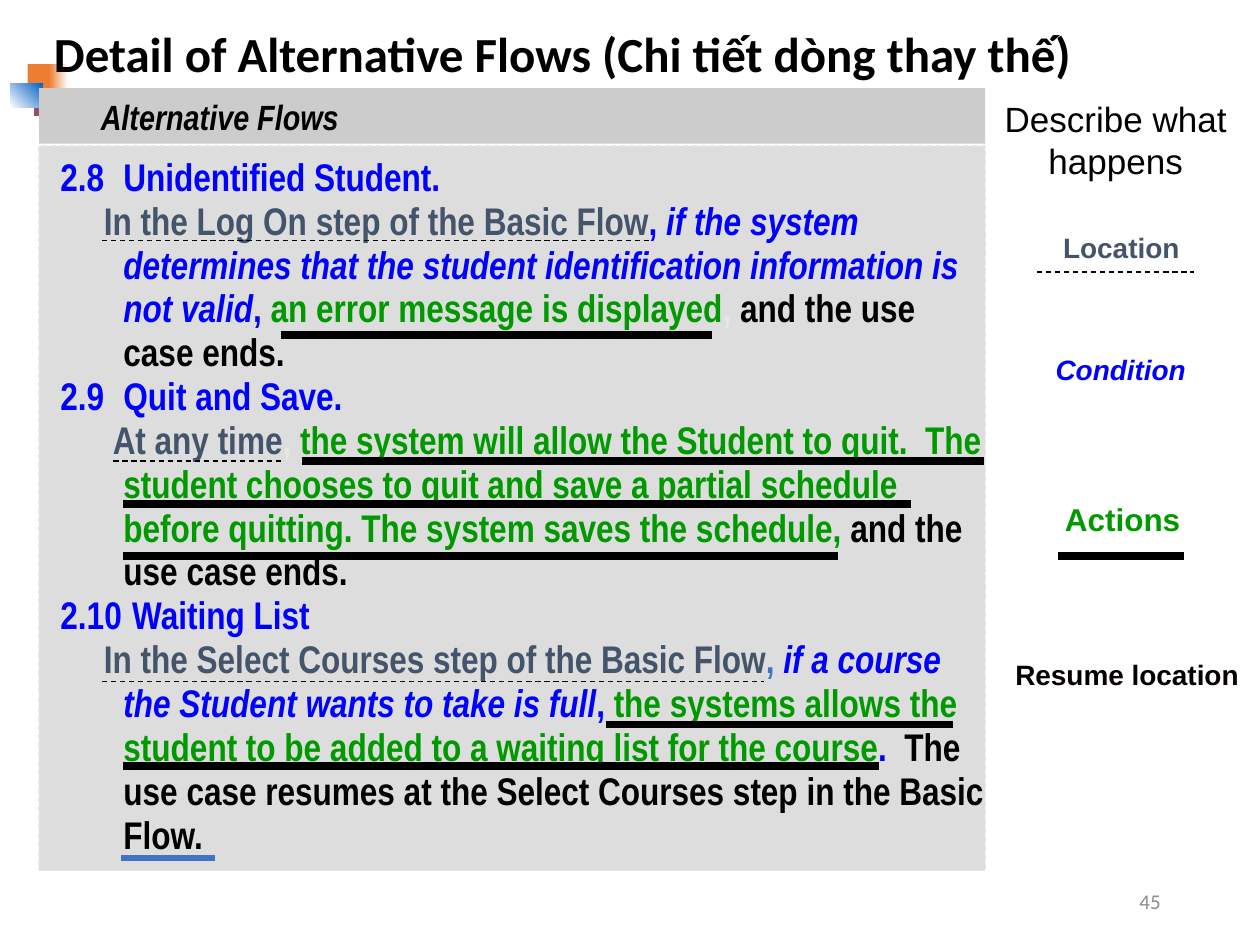
from dataclasses import dataclass

from lxml import etree
from pptx import Presentation
from pptx import util as u
from pptx.dml.color import RGBColor
from pptx.enum import dml, shapes, text
from pptx.oxml.ns import qn

CELL = 0.1  # inches: the slide is a grid of 100 columns by 75 rows
COLS, ROWS = 100, 75


@dataclass(frozen=True)
class Theme:
    sans: str = "Arial"
    narrow: str = "Arial Narrow"
    heading: str = "Calibri"
    black: str = "000000"
    pale: str = "E7E6E6"
    header: str = "CCCCCC"
    panel: str = "DDDDDD"
    location: str = "44546A"
    condition: str = "0000FF"
    action: str = "009900"
    resume: str = "040000"
    accent: str = "4472C4"
    number: str = "8C8C8C"
    orange: str = "ED7D31"
    plum: str = "954F72"
    blue: str = "0563C1"
    white: str = "FFFFFF"
    title_size: float = 28
    flow_size: float = 22
    head_size: float = 20
    action_size: float = 18
    label_size: float = 16
    number_size: float = 12
    thin: float = 0.75
    accent_line: float = 3
    thick: float = 4.5


T = Theme()


@dataclass(frozen=True)
class Box:
    """An area in grid columns and rows."""
    x: float
    y: float
    w: float
    h: float

    def inner(self, x, y, w, h):
        return Box(self.x + x, self.y + y, w, h)

    def lengths(self):
        return [cells(v) for v in (self.x, self.y, self.w, self.h)]


def cells(n):
    return u.Inches(n * CELL)


def rgb(value):
    return RGBColor.from_string(value)


def add_rect(parent, box, fill, fade_to=None, angle=0):
    rect = parent.add_shape(shapes.MSO_SHAPE.RECTANGLE, *box.lengths())
    rect.shadow.inherit = False
    rect.line.fill.background()
    if fade_to:
        rect.fill.gradient()
        rect.fill.gradient_angle = angle
        for stop, color in zip(rect.fill.gradient_stops, (fill, fade_to)):
            stop.color.rgb = rgb(color)
    else:
        rect.fill.solid()
        rect.fill.fore_color.rgb = rgb(fill)
    return rect


def style(run, font, size, color, bold=False, italic=False):
    run.font.name, run.font.size = font, u.Pt(size)
    run.font.bold, run.font.italic = bold, italic
    run.font.color.rgb = rgb(color)


def set_frame(frame, side, top, bottom, wrap=True):
    frame.word_wrap = wrap
    frame.margin_left = frame.margin_right = cells(side)
    frame.margin_top, frame.margin_bottom = cells(top), cells(bottom)
    frame.vertical_anchor = text.MSO_ANCHOR.TOP


def add_label(slide, box, words, font, size, color, bold=False, italic=False,
              align=text.PP_ALIGN.CENTER, insets=(1.2, 0.6, 0.6), wrap=True):
    frame = slide.shapes.add_textbox(*box.lengths()).text_frame
    set_frame(frame, *insets, wrap=wrap)
    frame.text = words
    for paragraph in frame.paragraphs:
        paragraph.alignment = align
        style(paragraph.runs[0], font, size, color, bold, italic)
    return frame


def add_mark(slide, box, x, y, length, color=T.black, width=T.thick):
    """A horizontal underline; thin ones are dashed."""
    left, top = cells(box.x + x), cells(box.y + y)
    mark = slide.shapes.add_connector(
        shapes.MSO_CONNECTOR.STRAIGHT, left, top, left + cells(length), top)
    mark.line.color.rgb = rgb(color)
    mark.line.width = u.Pt(width)
    if width == T.thin:
        mark.line.dash_style = dml.MSO_LINE.DASH
    etree.SubElement(mark._element.spPr, qn("a:effectLst"))


def fill_paragraph(paragraph, margin, indent, parts, size):
    props = paragraph._p.get_or_add_pPr()
    props.set("marL", str(cells(margin)))
    props.set("indent", str(cells(indent)))
    paragraph.alignment = text.PP_ALIGN.LEFT
    paragraph.line_spacing = 0.95
    for words, color, italic in parts:
        run = paragraph.add_run()
        run.text = words
        style(run, T.narrow, size, color, True, italic)


# Each flow: heading, first-line indent of its description, description parts
FLOWS = [
    ("2.8\tUnidentified Student.", -1.55, [
        ("In the Log On step of the Basic Flow", T.location, False),
        (", ", T.condition, False),
        ("if the system determines that the student identification "
         "information is not valid", T.condition, True),
        (", ", T.condition, False),
        ("an error message is displayed", T.action, False),
        (", ", T.pale, False),
        ("and the use case ends.", T.black, False)]),
    ("2.9\tQuit and Save.", -0.85, [
        ("At any time", T.location, False),
        (", ", T.pale, False),
        ("the system will allow the Student to quit.  The student chooses to "
         "quit and save a partial schedule before quitting. The system saves "
         "the schedule, ", T.action, False),
        ("and the use case ends.", T.black, False)]),
    ("2.10\t Waiting List", -1.55, [
        ("In the Select Courses step of the Basic Flow", T.location, False),
        (", ", T.accent, False),
        ("if a course the Student wants to take is full", T.condition, True),
        (", ", T.condition, False),
        ("the systems allows the student to be added to a waiting list for "
         "the course", T.action, False),
        (".  ", T.condition, False),
        ("The use case resumes at the Select Courses step in the Basic Flow.",
         T.black, False)]),
]
# Underlines in the flows panel: column, row, length
LOCATION_MARKS = [(5, 7.5, 43.4), (5.9, 25, 13.3), (5, 42.5, 52.5)]
ACTION_MARKS = [(19.2, 15, 34.2), (20.9, 25, 54.1), (6.7, 28.4, 62.5),
                (6.7, 32.5, 56.7), (45, 45.9, 27.5), (6.7, 49.2, 60)]


def add_ornament(slide, box):
    group = slide.shapes.add_group_shape().shapes
    add_rect(group, box.inner(1.4, 0, 2, 2.2), T.orange)
    add_rect(group, box.inner(3.1, 0, 1.5, 2.2), T.orange, T.white)
    add_rect(group, box.inner(1.9, 1.9, 1.9, 2.2), T.plum)
    add_rect(group, box.inner(3.6, 1.9, 1.7, 2.2), T.plum, T.white)
    add_rect(group, box.inner(0, 1.5, 2.6, 1.9), T.white, T.blue, 45)


def add_flows(slide, box):
    # Panel with the three flows
    panel_box = box.inner(0, 4.6, box.w, box.h - 4.6)
    panel = add_rect(slide.shapes, panel_box, T.panel)
    panel.line.color.rgb = rgb(T.pale)
    panel.line.width = u.Pt(T.thin)
    panel.line.dash_style = dml.MSO_LINE.DASH
    frame = panel.text_frame
    set_frame(frame, 0, 0.8, 0.4)
    paragraph = frame.paragraphs[0]
    for number, (heading, indent, description) in enumerate(FLOWS):
        if number:
            paragraph = frame.add_paragraph()
        fill_paragraph(paragraph, 6.7, -5, [(heading, T.condition, False)],
                       T.flow_size)
        fill_paragraph(frame.add_paragraph(), 6.7, indent, description,
                       T.flow_size)
    # Header band
    band = add_rect(slide.shapes, box.inner(0, 0, box.w, 4.4), T.header)
    set_frame(band.text_frame, 0, 0.8, 0.4)
    fill_paragraph(band.text_frame.paragraphs[0], 4.9, 0,
                   [("Alternative Flows", T.black, True)], T.head_size)
    # Underlines
    add_mark(slide, panel_box, 6.5, 56.5, 7.5, T.accent, T.accent_line)
    for place in LOCATION_MARKS:
        add_mark(slide, panel_box, *place, width=T.thin)
    for place in ACTION_MARKS:
        add_mark(slide, panel_box, *place)


def add_legend(slide, box):
    add_label(slide, box.inner(0, 0, 20.7, 7.8), "Describe what \nhappens",
              T.sans, T.head_size, T.black, wrap=False)
    for words, place, size, color, italic in [
            ("Location", (2.1, 10.6, 17.4, 3.9), T.label_size, T.location, False),
            ("Condition", (2, 20.3, 17.5, 3.9), T.label_size, T.condition, True),
            ("Actions", (5.1, 32, 11.6, 4.2), T.action_size, T.action, False),
            ("Resume location", (0.9, 44.5, 20.7, 3.9), T.label_size, T.resume, False)]:
        add_label(slide, box.inner(*place), words, T.sans, size, color, True, italic)
    add_mark(slide, box, 4.1, 14.5, 12.5, width=T.thin)
    add_mark(slide, box, 5.8, 37, 10)


def add_title(slide, box):
    add_label(slide, box, "Detail of Alternative Flows (Chi tiết dòng thay thế)",
              T.heading, T.title_size, T.black, True,
              align=text.PP_ALIGN.LEFT, insets=(1, 0.5, 0.5))


def add_page_number(slide, box):
    frame = add_label(slide, box, "45", T.heading, T.number_size, T.number,
                      align=text.PP_ALIGN.RIGHT, insets=(1, 0.5, 0.5))
    frame.vertical_anchor = text.MSO_ANCHOR.MIDDLE


def main():
    deck = Presentation()
    deck.slide_width, deck.slide_height = cells(COLS), cells(ROWS)
    slide = deck.slides.add_slide(deck.slide_layouts[6])
    add_ornament(slide, Box(0.8, 5.1, 5.3, 4.1))
    add_page_number(slide, Box(70.6, 69.5, 22.5, 4))
    add_flows(slide, Box(3.1, 7, 75.1, 62.1))
    add_legend(slide, Box(78.2, 7.1, 21.6, 48.4))
    add_title(slide, Box(3.3, 1.4, 94.3, 5.7))
    deck.save("out.pptx")


if __name__ == "__main__":
    main()
